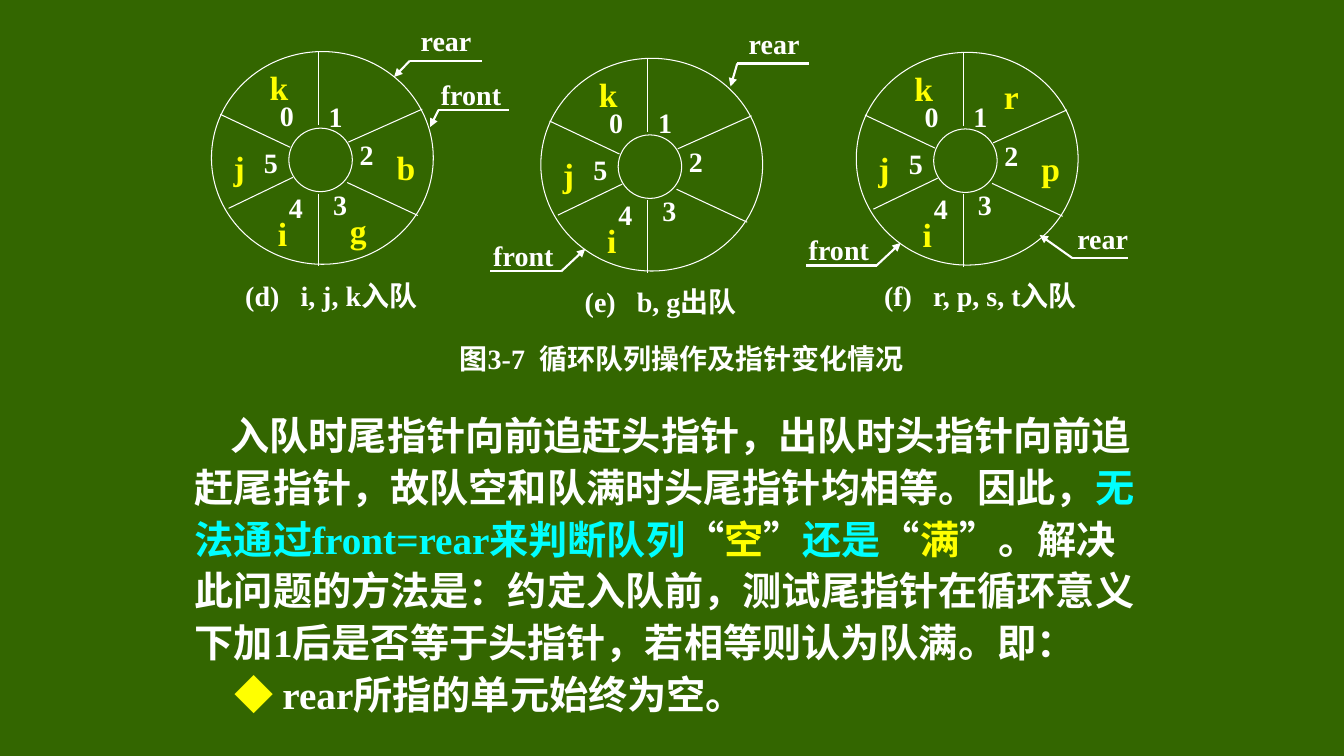
from dataclasses import dataclass
from typing import Any

import pptx
import pptx.dml.color
import pptx.enum.shapes
import pptx.enum.text
import pptx.oxml
import pptx.oxml.ns
import pptx.util
from pptx.util import Cm

Point = tuple[float, float]

COLORS = {"board": "336600", "chalk": "FFFFFF", "mark": "FFFF00", "stress": "00FFFF"}
LATIN, HAN = "Times New Roman", "Noto Sans CJK SC"
LABEL_FRAME = {
    "word_wrap": False,
    "vertical_anchor": pptx.enum.text.MSO_ANCHOR.MIDDLE,
    "margin_left": 0,
    "margin_right": 0,
}
BODY_FRAME = {"word_wrap": True, "vertical_anchor": pptx.enum.text.MSO_ANCHOR.TOP}
BODY_LINES = {
    "line_spacing": pptx.util.Pt(37),
    "space_before": pptx.util.Pt(0),
    "space_after": pptx.util.Pt(0),
}


@dataclass
class Pointer:
    name: str
    center: Point
    elbow: Point
    bar_end: float
    tip: Point


@dataclass
class Ring:
    corner: Point
    items: dict[int, str]
    pointers: list[Pointer]
    number: str
    action: str
    caption_x: float = 3.02


@dataclass
class Phrase:
    text: str
    color: str = "chalk"
    latin: str = LATIN


# Ring geometry in cm, measured from the corner of the outer circle
CIRCLES = [((1.95, 1.93), (1.6, 1.6)), ((0, 0), (5.59, 5.36))]
SPOKES = [
    ((2.69, 0), (2.69, 1.85)),
    ((2.69, 3.58), (2.69, 5.41)),
    ((3.45, 2.28), (5.31, 1.45)),
    ((0.43, 3.95), (2.05, 3.17)),
    ((3.42, 3.3), (5.2, 4.13)),
    ((0.22, 1.58), (1.98, 2.41)),
]
INDEX_CENTERS = [(1.9, 1.6), (3.13, 1.62), (3.91, 2.6),
                 (3.24, 3.84), (2.13, 3.92), (1.5, 2.8)]
ITEM_CENTERS = [(1.7, 0.9), (3.91, 1.1), (4.9, 2.91),
                (3.7, 4.51), (1.79, 4.57), (0.7, 2.91)]
CAPTION_Y = 6.13

LOW_FRONT = Pointer("front", (-0.44, 4.97), (0.51, 5.37), -1.27, (1.12, 4.8))
RINGS = [
    Ring((5.33, 1.3), {0: "k", 2: "b", 3: "g", 4: "i", 5: "j"},
         [Pointer("rear", (5.91, -0.29), (5, 0.23), 6.81, (4.6, 0.64)),
          Pointer("front", (6.54, 1.08), (5.72, 1.47), 7.49, (5.51, 1.9))],
         "(d)", "i, j, k入队"),
    Ring((13.63, 1.47), {0: "k", 4: "i", 5: "j"},
         [Pointer("rear", (5.88, -0.39), (4.95, 0.13), 6.76, (4.78, 0.71)), LOW_FRONT],
         "(e)", "b, g出队"),
    Ring((21.58, 1.32), {0: "k", 1: "r", 2: "p", 4: "i", 5: "j"},
         [Pointer("rear", (6.21, 4.69), (5.44, 5.18), 6.84, (4.62, 4.6)), LOW_FRONT],
         "(f)", "r, p, s, t入队", 3.13),
]

EXPLANATION = [
    Phrase("入队时尾指针向前追赶头指针，出队时头指针向前追赶尾指针，"
           "故队空和队满时头尾指针均相等。因此，"),
    Phrase("无法通过front=rear来判断队列", "stress"),
    Phrase("“"),
    Phrase("空", "mark"),
    Phrase("”"),
    Phrase("还是", "stress"),
    Phrase("“"),
    Phrase("满", "mark"),
    Phrase("”。解决此问题的方法是：约定入队前，测试尾指针在循环意义下加1"
           "后是否等于头指针，若相等则认为队满。即："),
]
CONVENTION = [Phrase("◆ ", "mark", HAN), Phrase("rear所指的单元始终为空。")]


def apply(target: Any, values: dict[str, Any]) -> None:
    for attribute, value in values.items():
        setattr(target, attribute, value)


def rgb(name: str) -> pptx.dml.color.RGBColor:
    return pptx.dml.color.RGBColor.from_string(COLORS[name])


def shift(origin: Point, offset: Point) -> Point:
    return origin[0] + offset[0], origin[1] + offset[1]


def add_phrase(paragraph: Any, phrase: Phrase, size: float, gap: float = 0) -> None:
    run = paragraph.add_run()
    run.text = phrase.text
    apply(run.font, {"size": pptx.util.Pt(size), "bold": True, "name": phrase.latin})
    run.font.color.rgb = rgb(phrase.color)
    properties = run.font._element
    east_asian = pptx.oxml.parse_xml(
        f'<a:ea {pptx.oxml.ns.nsdecls("a")} typeface="{HAN}"/>')
    properties.find(pptx.oxml.ns.qn("a:latin")).addnext(east_asian)
    if gap:
        properties.set("spc", str(round(gap * 100)))


def add_label(shapes: Any, center: Point, text: str, size: float = 20,
              color: str = "chalk", width: float = 1, after_gap: str = "",
              gap: float = 10) -> None:
    """Centre a label on a point; after_gap follows a widened space."""
    height = 1
    label = shapes.add_textbox(Cm(center[0] - width / 2), Cm(center[1] - height / 2),
                               Cm(width), Cm(height))
    apply(label.text_frame, LABEL_FRAME)
    paragraph = label.text_frame.paragraphs[0]
    paragraph.alignment = pptx.enum.text.PP_ALIGN.CENTER
    add_phrase(paragraph, Phrase(text, color), size)
    if after_gap:
        add_phrase(paragraph, Phrase(" "), size, gap)
        add_phrase(paragraph, Phrase(after_gap), size)


def add_line(shapes: Any, start: Point, end: Point, weight: float = 0.75,
             arrow: bool = False) -> None:
    line = shapes.add_connector(pptx.enum.shapes.MSO_CONNECTOR.STRAIGHT,
                                *(Cm(value) for value in start + end))
    line.line.color.rgb = rgb("chalk")
    line.line.width = pptx.util.Pt(weight)
    namespace = pptx.oxml.ns.nsdecls("a")
    if arrow:
        line.line._get_or_add_ln().append(
            pptx.oxml.parse_xml(f'<a:tailEnd {namespace} type="triangle"/>'))
    line._element.spPr.append(pptx.oxml.parse_xml(f"<a:effectLst {namespace}/>"))


def add_ring(slide: Any, ring: Ring) -> None:
    shapes = slide.shapes.add_group_shape().shapes
    for offset, size in CIRCLES:
        circle = shapes.add_shape(
            pptx.enum.shapes.MSO_SHAPE.OVAL,
            *(Cm(value) for value in shift(ring.corner, offset) + size))
        circle.shadow.inherit = False
        circle.fill.background()
        circle.line.color.rgb = rgb("chalk")
        circle.line.width = pptx.util.Pt(0.75)
    for start, end in SPOKES:
        add_line(shapes, shift(ring.corner, start), shift(ring.corner, end))
    for index, center in enumerate(INDEX_CENTERS):
        add_label(shapes, shift(ring.corner, center), str(index))
    for index, item in ring.items.items():
        add_label(shapes, shift(ring.corner, ITEM_CENTERS[index]), item, 24, "mark")
    for pointer in ring.pointers:
        elbow = shift(ring.corner, pointer.elbow)
        bar_end = shift(ring.corner, (pointer.bar_end, pointer.elbow[1]))
        add_label(shapes, shift(ring.corner, pointer.center), pointer.name, width=1.8)
        add_line(shapes, elbow, bar_end, 1.5)
        add_line(shapes, elbow, shift(ring.corner, pointer.tip), 1.5, arrow=True)
    add_label(shapes, shift(ring.corner, (ring.caption_x, CAPTION_Y)), ring.number,
              width=6, after_gap=ring.action)


def add_explanation(slide: Any) -> None:
    body = slide.shapes.add_textbox(Cm(4.66), Cm(10.12), Cm(24.33), Cm(8.2)).text_frame
    apply(body, BODY_FRAME)
    paragraphs = [body.paragraphs[0], body.add_paragraph()]
    for paragraph, phrases in zip(paragraphs, [EXPLANATION, CONVENTION]):
        apply(paragraph, BODY_LINES)
        for phrase in phrases:
            add_phrase(paragraph, phrase, 28)
    paragraphs[0]._p.get_or_add_pPr().set("indent", str(Cm(0.9)))
    paragraphs[1]._p.get_or_add_pPr().set("marL", str(Cm(1)))


def main() -> None:
    deck = pptx.Presentation()
    apply(deck, {"slide_width": Cm(33.87), "slide_height": Cm(19.05)})
    slide = deck.slides.add_slide(deck.slide_layouts[6])
    slide.background.fill.solid()
    slide.background.fill.fore_color.rgb = rgb("board")

    # Text below, then the three queue states and the figure title
    add_explanation(slide)
    for ring in RINGS:
        add_ring(slide, ring)
    add_label(slide.shapes, (17.18, 9.03), "图3-7", width=13,
              after_gap="循环队列操作及指针变化情况", gap=5)
    deck.save("out.pptx")


if __name__ == "__main__":
    main()
